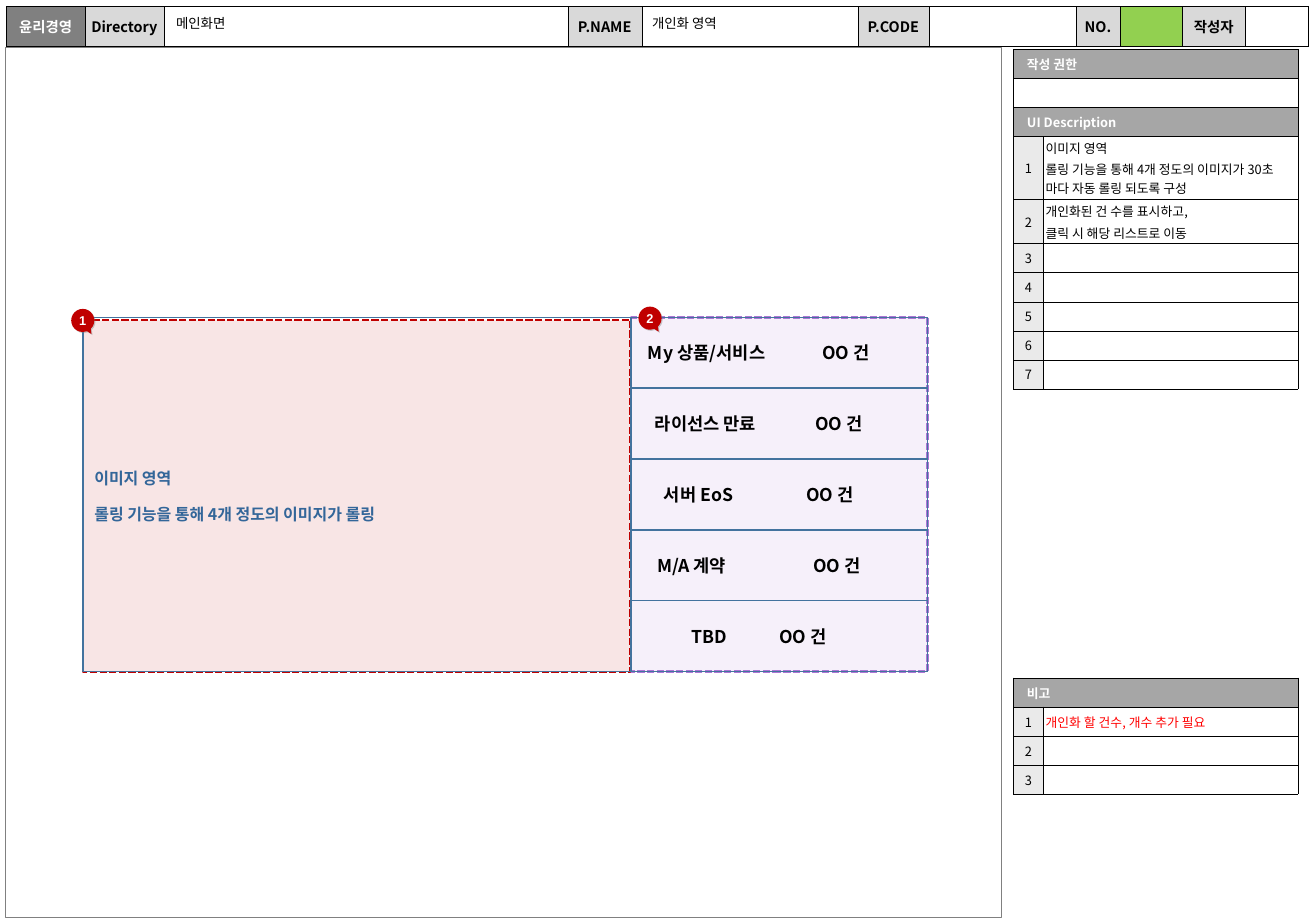
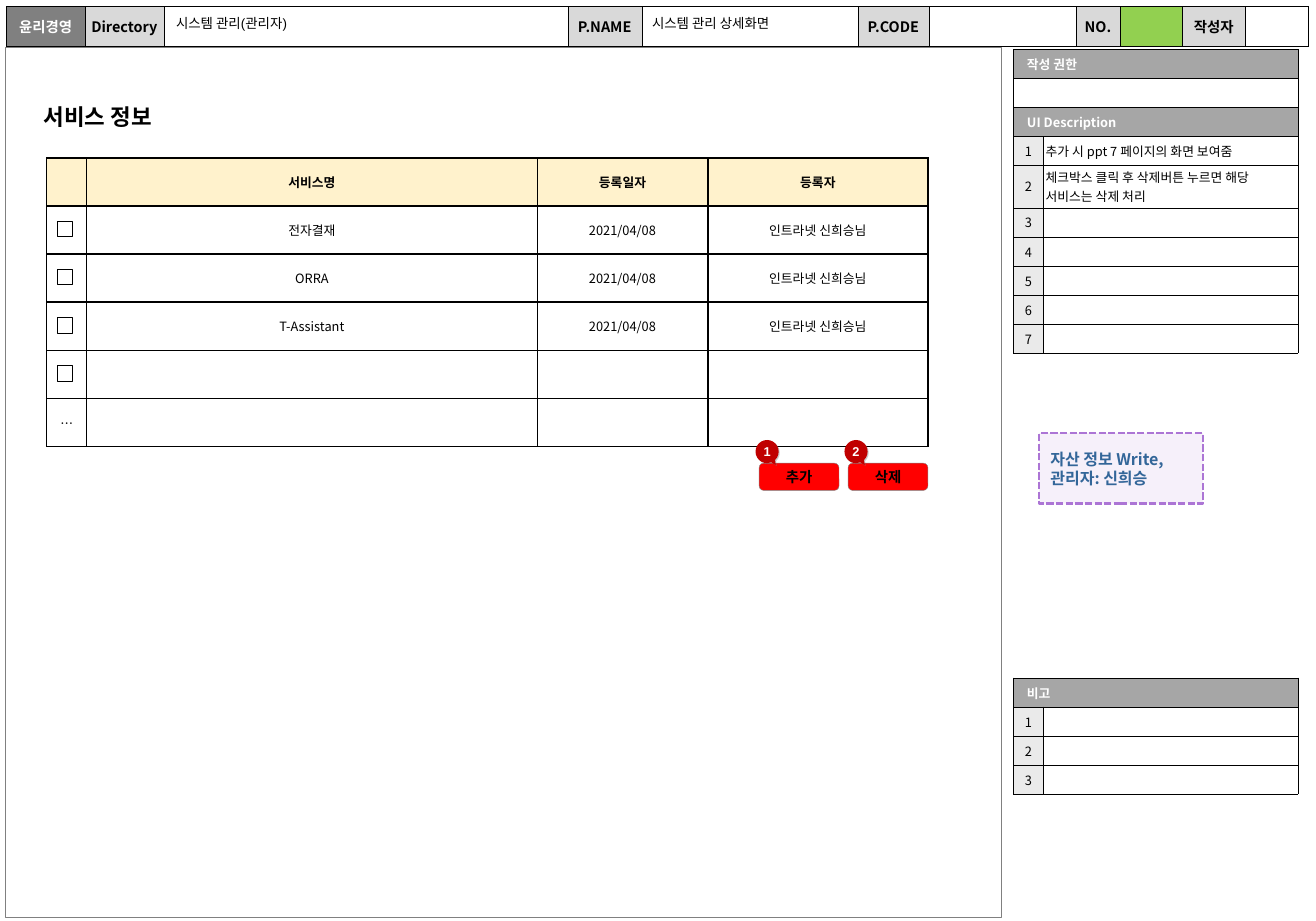
from lxml import etree
from pptx import Presentation
from pptx.dml.color import RGBColor
from pptx.enum.dml import MSO_LINE
from pptx.enum.shapes import MSO_SHAPE
from pptx.enum.text import MSO_ANCHOR, PP_ALIGN
from pptx.oxml.ns import qn
from pptx.util import Cm, Pt

RECTANGLE, ROUNDED = MSO_SHAPE.RECTANGLE, MSO_SHAPE.ROUNDED_RECTANGLE
CALLOUT = MSO_SHAPE.OVAL_CALLOUT
LEFT, CENTER = PP_ALIGN.LEFT, PP_ALIGN.CENTER
MIDDLE = MSO_ANCHOR.MIDDLE
DASH = MSO_LINE.SQUARE_DOT
SANS, ARIAL = "Noto Sans CJK KR", "Arial"

COLORS = {
    "black": "000000", "white": "FFFFFF", "gray": "808080", "label": "D9D9D9",
    "section": "A6A6A6", "number": "EAEAEA", "green": "92D050", "red": "FF0000",
    "crimson": "C00000", "purple": "AC75D5", "blue": "43739E", "ink": "336699",
    "cream": "FFF2CC",
}

# Cell styles: fill, text colour, bold, alignment, size
CELL_STYLES = {
    "brand": ("gray", "white", True, CENTER, 9),
    "label": ("label", "black", True, CENTER, 9),
    "green": ("green", "black", False, CENTER, 9),
    "blank": (None, "black", False, CENTER, 8),
    "section": ("section", "white", True, LEFT, 8),
    "number": ("number", "black", False, CENTER, 8),
    "note": ("white", "black", False, LEFT, 8),
    "alert": ("white", "red", False, LEFT, 8),
    "heading": ("cream", "black", True, CENTER, 8),
}

# Shared content
HEADER = [
    ("윤리경영", "brand", 1.73), ("Directory", "label", 1.74), ("", "blank", 8.9),
    ("P.NAME", "label", 1.63), ("", "blank", 4.76), ("P.CODE", "label", 1.57),
    ("", "blank", 3.24), ("NO.", "label", 0.97), ("", "green", 1.37),
    ("작성자", "label", 1.39), ("", "blank", 1.4),
]
SIDE_LEFT, SIDE_WIDTHS, SIDE_ROW = 22.33, [0.66, 5.61], 0.64
DESCRIPTION_COUNT, REMARK_COUNT = 7, 3

# Main screen content
MAIN_PAGE = {
    "directory": "메인화면",
    "name": "개인화 영역",
    "descriptions": [
        ("이미지 영역\n롤링 기능을 통해 4개 정도의 이미지가 30초 마다 자동 롤링 되도록 구성", 1.39),
        ("개인화된 건 수를 표시하고,\n클릭 시 해당 리스트로 이동", 0.97),
    ],
    "remarks": ["개인화 할 건수, 개수 추가 필요"],
}
IMAGE_TEXT = "이미지 영역\n롤링 기능을 통해 4개 정도의 이미지가 롤링"
MENU_COUNT = "OO 건"
MENU = [("My 상품/서비스", 0.12), ("라이선스 만료", 0.27), ("서버 EoS", 0.47),
        ("M/A 계약", 0.32), ("TBD", 1.07)]  # label, indent
MENU_LEFT, MENU_TOP, MENU_WIDTH, MENU_ROW = 13.91, 7.0, 6.53, 1.56
MENU_TEXT_WIDTH = 4.08

# Service administration content
SERVICE_PAGE = {
    "directory": "시스템 관리(관리자)",
    "name": "시스템 관리 상세화면",
    "descriptions": [
        ("추가 시 ppt 7 페이지의 화면 보여줌", 0.62),
        ("체크박스 클릭 후 삭제버튼 누르면 해당 서비스는 삭제 처리", 0.95),
    ],
    "remarks": [],
}
SERVICE_HEADINGS = ["", "서비스명", "등록일자", "등록자"]
SERVICES = [
    ["", "전자결재", "2021/04/08", "인트라넷 신희승님"],
    ["", "ORRA", "2021/04/08", "인트라넷 신희승님"],
    ["", "T-Assistant", "2021/04/08", "인트라넷 신희승님"],
    ["", "", "", ""],
    ["…", "", "", ""],
]
SERVICE_WIDTHS, SERVICE_ROW = [0.88, 9.93, 3.76, 4.85], 1.06
CHECKBOX_COUNT = 4
BUTTONS = ["추가", "삭제"]


def rgb(name):
    return RGBColor.from_string(COLORS[name])


def write_text(frame, text, size, color="black", bold=False, align=LEFT,
               font=SANS, gap=0, tab=None):
    for index, line in enumerate(text.split("\n")):
        paragraph = frame.paragraphs[0] if index == 0 else frame.add_paragraph()
        paragraph.text = line
        paragraph.alignment = align
        if index and gap:
            paragraph.space_before = Pt(gap)
        properties = paragraph._p.get_or_add_pPr()
        if tab is not None:
            tabs = etree.SubElement(properties, qn("a:tabLst"))
            etree.SubElement(tabs, qn("a:tab"), pos=str(Cm(tab)), algn="l")
        paragraph.font.size = Pt(size)
        paragraph.font.bold = bold
        paragraph.font.color.rgb = rgb(color)
        paragraph.font.name = font
        etree.SubElement(properties.find(qn("a:defRPr")), qn("a:ea"), typeface=SANS)


def set_margins(target, horizontal, vertical):
    target.margin_left = target.margin_right = Cm(horizontal)
    target.margin_top = target.margin_bottom = Cm(vertical)


def add_box(slide, box, fill=None, line=None, width=1, dash=None, opacity=None,
            kind=RECTANGLE):
    shape = slide.shapes.add_shape(kind, *[Cm(value) for value in box])
    shape.shadow.inherit = False
    if fill:
        shape.fill.solid()
        shape.fill.fore_color.rgb = rgb(fill)
        if opacity:
            color = shape._element.spPr.find(qn("a:solidFill"))[0]
            etree.SubElement(color, qn("a:alpha"), val=str(opacity * 1000))
    else:
        shape.fill.background()
    if line:
        shape.line.color.rgb = rgb(line)
        shape.line.width = Pt(width)
        if dash:
            shape.line.dash_style = dash
    else:
        shape.line.fill.background()
    shape.text_frame.vertical_anchor = MIDDLE
    return shape


def add_label(slide, box, text, size, bold=False):
    frame = slide.shapes.add_textbox(*[Cm(value) for value in box]).text_frame
    frame.word_wrap = True
    frame.vertical_anchor = MIDDLE
    write_text(frame, text, size, bold=bold, font=ARIAL)
    return frame


def add_callout(slide, left, top, number):
    shape = add_box(slide, (left, top, 0.51, 0.51), "crimson", kind=CALLOUT)
    shape.adjustments[0], shape.adjustments[1] = 0.376, 0.586
    effects = shape._element.spPr.find(qn("a:effectLst"))
    shadow = etree.SubElement(effects, qn("a:outerShdw"), blurRad="0",
                              dist=str(Pt(1)), dir="2700000", algn="tl", rotWithShape="0")
    color = etree.SubElement(shadow, qn("a:srgbClr"), val=COLORS["gray"])
    etree.SubElement(color, qn("a:alpha"), val="40000")
    frame = shape.text_frame
    frame.word_wrap = False
    set_margins(frame, 0, 0)
    write_text(frame, str(number), 8, "white", True, CENTER, ARIAL)


def add_borders(cell, width):
    properties = cell._tc.get_or_add_tcPr()
    for side in ("a:lnL", "a:lnR", "a:lnT", "a:lnB"):
        line = etree.SubElement(properties, qn(side), w=str(Pt(width)))
        fill = etree.SubElement(line, qn("a:solidFill"))
        etree.SubElement(fill, qn("a:srgbClr"), val=COLORS["black"])


def add_grid(slide, left, top, widths, heights, rows, border=0.25, margin=0.05):
    """Each row lists (text, style); a row of one cell spans all columns."""
    table = slide.shapes.add_table(
        len(rows), len(widths), Cm(left), Cm(top),
        Cm(sum(widths)), Cm(sum(heights))).table
    table.first_row = table.horz_banding = False
    for column, width in zip(table.columns, widths):
        column.width = Cm(width)
    for row_index, (height, row) in enumerate(zip(heights, rows)):
        table.rows[row_index].height = Cm(height)
        for column_index in range(len(widths)):
            cell = table.cell(row_index, column_index)
            add_borders(cell, border)
            if column_index >= len(row):
                continue
            text, style = row[column_index]
            fill, color, bold, align, size = CELL_STYLES[style]
            if fill:
                cell.fill.solid()
                cell.fill.fore_color.rgb = rgb(fill)
            else:
                cell.fill.background()
            cell.vertical_anchor = MIDDLE
            set_margins(cell, margin, 0.05)
            if style == "section":
                cell.margin_left = Cm(0.3)
            write_text(cell.text_frame, text, size, color, bold, align, gap=1.6)
        if len(row) < len(widths):
            table.cell(row_index, 0).merge(table.cell(row_index, len(widths) - 1))


def numbered(texts, count, style):
    texts = texts + [""] * (count - len(texts))
    return [[(str(number), "number"), (text, style)]
            for number, text in enumerate(texts, 1)]


def add_page(presentation, page):
    """Slide with the frame, header band and side tables."""
    slide = presentation.slides.add_slide(presentation.slide_layouts[6])
    add_box(slide, (0.12, 1.04, 21.95, 19.18), line="gray", width=0.25)
    add_grid(slide, 0.14, 0.14, [width for _, _, width in HEADER], [0.88],
             [[(text, style) for text, style, _ in HEADER]], margin=0)
    for left, width, key in ((3.63, 8.86, "directory"), (14.12, 4.78, "name")):
        frame = add_label(slide, (left, 0.13, width, 0.79), page[key], 8.4)
        frame.paragraphs[0].line_spacing = 0.9

    texts = [text for text, _ in page["descriptions"]]
    heights = [height for _, height in page["descriptions"]]
    rows = [[("작성 권한", "section")], [("", "note")], [("UI Description", "section")]]
    rows += numbered(texts, DESCRIPTION_COUNT, "note")
    heights = [SIDE_ROW] * 3 + heights + [SIDE_ROW] * (DESCRIPTION_COUNT - len(heights))
    add_grid(slide, SIDE_LEFT, 1.09, SIDE_WIDTHS, heights, rows)

    rows = [[("비고", "section")]] + numbered(page["remarks"], REMARK_COUNT, "alert")
    add_grid(slide, SIDE_LEFT, 14.94, SIDE_WIDTHS, [SIDE_ROW] * len(rows), rows)
    return slide


def build_main(presentation):
    slide = add_page(presentation, MAIN_PAGE)
    menu_height = MENU_ROW * len(MENU)
    # Image area and menu background
    image = add_box(slide, (1.83, 7.06, 12.07, 7.75), "crimson", "crimson", 1.5, DASH, 10)
    write_text(image.text_frame, IMAGE_TEXT, 10, "ink", True, gap=10)
    add_box(slide, (MENU_LEFT, MENU_TOP, MENU_WIDTH, menu_height),
            "purple", "purple", 1.5, DASH, 10)
    add_box(slide, (1.83, MENU_TOP, MENU_LEFT + MENU_WIDTH - 1.83, menu_height), line="blue")
    # Menu rows
    for index, (label, indent) in enumerate(MENU):
        row = add_box(slide, (MENU_LEFT, MENU_TOP + index * MENU_ROW, MENU_WIDTH, MENU_ROW),
                      line="blue")
        row.text_frame.margin_left = Cm(0.25 + indent)
        write_text(row.text_frame, f"{label}\t{MENU_COUNT}", 11, bold=True,
                   tab=MENU_TEXT_WIDTH - 2 * indent)
    add_callout(slide, 1.57, 6.81, 1)
    add_callout(slide, 14.07, 6.76, 2)


def build_services(presentation):
    slide = add_page(presentation, SERVICE_PAGE)
    add_label(slide, (0.71, 2.13, 5.82, 0.86), "서비스 정보", 14, True)
    # Service list with checkboxes
    rows = [[(text, "heading") for text in SERVICE_HEADINGS]]
    rows += [[(text, "blank") for text in service] for service in SERVICES]
    add_grid(slide, 1.03, 3.48, SERVICE_WIDTHS, [SERVICE_ROW] * len(rows), rows, 1, 0.25)
    for index in range(CHECKBOX_COUNT):
        add_box(slide, (1.26, 4.88 + index * SERVICE_ROW, 0.34, 0.34), "white", "black", 0.5)
    # Buttons
    for index, text in enumerate(BUTTONS):
        left = 16.73 + index * 1.96
        button = add_box(slide, (left, 10.21, 1.76, 0.6), "red", "gray", 0.25, kind=ROUNDED)
        button.text_frame.word_wrap = False
        write_text(button.text_frame, text, 9, bold=True, align=CENTER)
        add_callout(slide, left - 0.08, 9.7, index + 1)
    # Owner note
    note = add_box(slide, (22.9, 9.55, 3.61, 1.55), "purple", "purple", 1.5, DASH, 10)
    write_text(note.text_frame, "자산 정보 Write, 관리자: 신희승", 10, "ink", True)


def main():
    presentation = Presentation()
    presentation.slide_width, presentation.slide_height = Cm(29), Cm(20.3)
    build_main(presentation)
    build_services(presentation)
    presentation.save("out.pptx")


if __name__ == "__main__":
    main()
